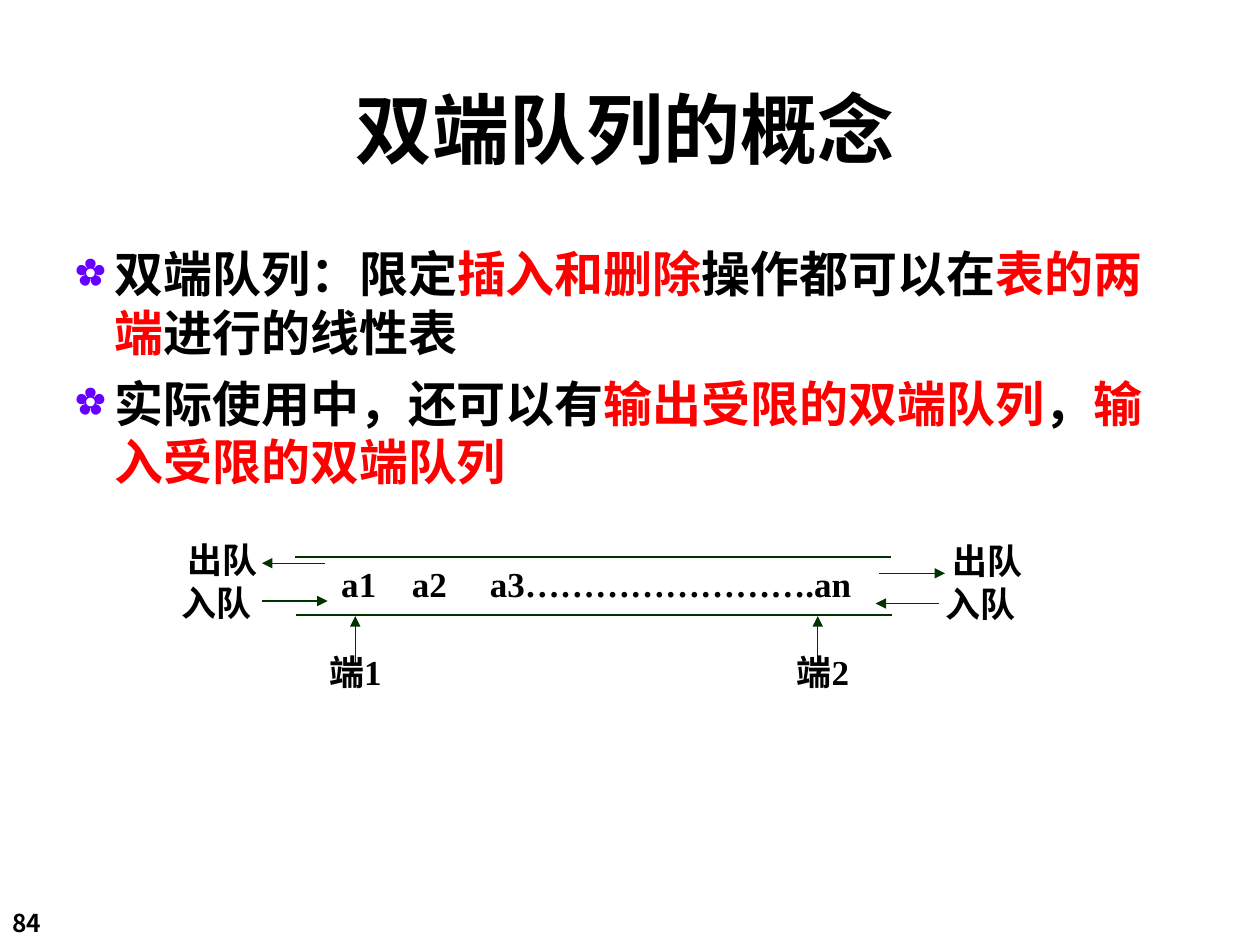
from lxml.etree import SubElement
from pptx import Presentation
from pptx.dml.color import RGBColor
from pptx.enum.shapes import MSO_CONNECTOR
from pptx.enum.text import MSO_ANCHOR, PP_ALIGN
from pptx.oxml.ns import qn
from pptx.util import Inches, Pt

COLORS = {"text": "000000", "key": "FF0000", "bullet": "6600FF", "line": "003300"}
SANS, SERIF = "Noto Sans CJK SC", "Times New Roman"
DEFINITIONS = [
    [("双端队列：限定", "text"), ("插入和删除", "key"), ("操作都可以在", "text"),
     ("表的两端", "key"), ("进行的线性表", "text")],
    [("实际使用中，还可以有", "text"), ("输出受限的双端队列", "key"),
     ("，", "text"), ("输入受限的双端队列", "key")],
]
RAILS = [((2.34, 4.42), (7.07, 4.42)), ((2.35, 4.88), (7.08, 4.88))]
ARROWS = [
    ((2.82, 5.27), (2.82, 4.89)), ((6.49, 5.25), (6.49, 4.89)),
    ((2.58, 4.47), (2.08, 4.47)), ((2.08, 4.77), (2.6, 4.77)),
    ((6.98, 4.55), (7.5, 4.55)), ((7.45, 4.79), (6.95, 4.79)),
]
LABELS = [
    ("出队", 1.39, 4.26, 0.75), ("入队", 1.34, 4.6, 0.75),
    ("出队", 7.46, 4.27, 0.75), ("入队", 7.41, 4.61, 0.75),
    ("端1", 2.48, 5.15, 0.68), ("端2", 6.19, 5.15, 0.68),
]


def color(name):
    return RGBColor.from_string(COLORS[name])


def style(paragraph, size, face=SANS):
    font = paragraph.font
    font.size, font.bold, font.name = Pt(size), True, face
    font.color.rgb = color("text")
    defaults = paragraph._p.get_or_add_pPr().find(qn("a:defRPr"))
    SubElement(defaults, qn("a:ea"), typeface=SANS)


def add_bullet(paragraph):
    properties = paragraph._p.get_or_add_pPr()
    properties.set("marL", str(Inches(0.39)))
    properties.set("indent", str(Inches(-0.31)))
    tint = SubElement(properties, qn("a:buClr"))
    SubElement(tint, qn("a:srgbClr"), val=COLORS["bullet"])
    SubElement(properties, qn("a:buSzPct"), val="75000")
    SubElement(properties, qn("a:buFont"), typeface=SERIF)
    SubElement(properties, qn("a:buChar"), char="✿")


def add_tabs(paragraph, stops):
    tabs = SubElement(paragraph._p.get_or_add_pPr(), qn("a:tabLst"))
    for stop in stops:
        SubElement(tabs, qn("a:tab"), pos=str(Inches(stop)), algn="l")


def add_title(slide):
    title = slide.shapes.title
    title.left, title.top = Inches(0.75), Inches(0.6)
    title.width, title.height = Inches(8.42), Inches(0.82)
    frame = title.text_frame
    frame.text = "双端队列的概念"
    frame.vertical_anchor = MSO_ANCHOR.MIDDLE
    heading = frame.paragraphs[0]
    heading.alignment = PP_ALIGN.CENTER
    style(heading, 44)


def add_definitions(slide):
    box = slide.shapes.add_textbox(Inches(0.42), Inches(1.89), Inches(9.05), Inches(2.36))
    frame = box.text_frame
    frame.word_wrap = True
    for index, parts in enumerate(DEFINITIONS):
        definition = frame.add_paragraph() if index else frame.paragraphs[0]
        add_bullet(definition)
        style(definition, 28)
        definition.line_spacing = Pt(33.4)
        if index:
            definition.space_before = Pt(7)
        for words, tone in parts:
            run = definition.add_run()
            run.text = words
            if tone != "text":
                run.font.color.rgb = color(tone)


def add_label(shapes, words, left, top, width, height=0.4, size=20, face=SERIF,
              align=PP_ALIGN.CENTER, stops=()):
    box = shapes.add_textbox(Inches(left), Inches(top), Inches(width), Inches(height))
    frame = box.text_frame
    frame.word_wrap = bool(stops)
    frame.vertical_anchor = MSO_ANCHOR.MIDDLE
    if align == PP_ALIGN.CENTER:
        frame.margin_left = frame.margin_right = 0
    label = frame.paragraphs[0]
    label.text = words
    label.alignment = align
    label.line_spacing = 0.9
    if stops:
        add_tabs(label, stops)
    style(label, size, face)


def add_line(shapes, start, end, arrow=False):
    points = [Inches(value) for value in (*start, *end)]
    line = shapes.add_connector(MSO_CONNECTOR.STRAIGHT, *points)
    line.line.color.rgb = color("line")
    line.line.width = Pt(0.75)
    if arrow:
        SubElement(line.line._get_or_add_ln(), qn("a:tailEnd"), type="triangle")
    SubElement(line._element.spPr, qn("a:effectLst"))


def add_deque(slide):
    shapes = slide.shapes.add_group_shape().shapes
    for start, end in RAILS:
        add_line(shapes, start, end)
    add_label(shapes, "a1\ta2\ta3…………………….an", 2.61, 4.45, 4.32,
              align=PP_ALIGN.LEFT, stops=(0.56, 1.18))
    for start, end in ARROWS:
        add_line(shapes, start, end, arrow=True)
    for label in LABELS:
        add_label(shapes, *label)


def main():
    deck = Presentation()
    deck.slide_width, deck.slide_height = Inches(10), Inches(7.5)
    slide = deck.slides.add_slide(deck.slide_layouts[5])
    add_title(slide)
    add_definitions(slide)
    add_deque(slide)
    add_label(slide.shapes, "84", 0, 7.17, 0.83, 0.34, 14, SANS, PP_ALIGN.LEFT)
    deck.save("out.pptx")


if __name__ == "__main__":
    main()
